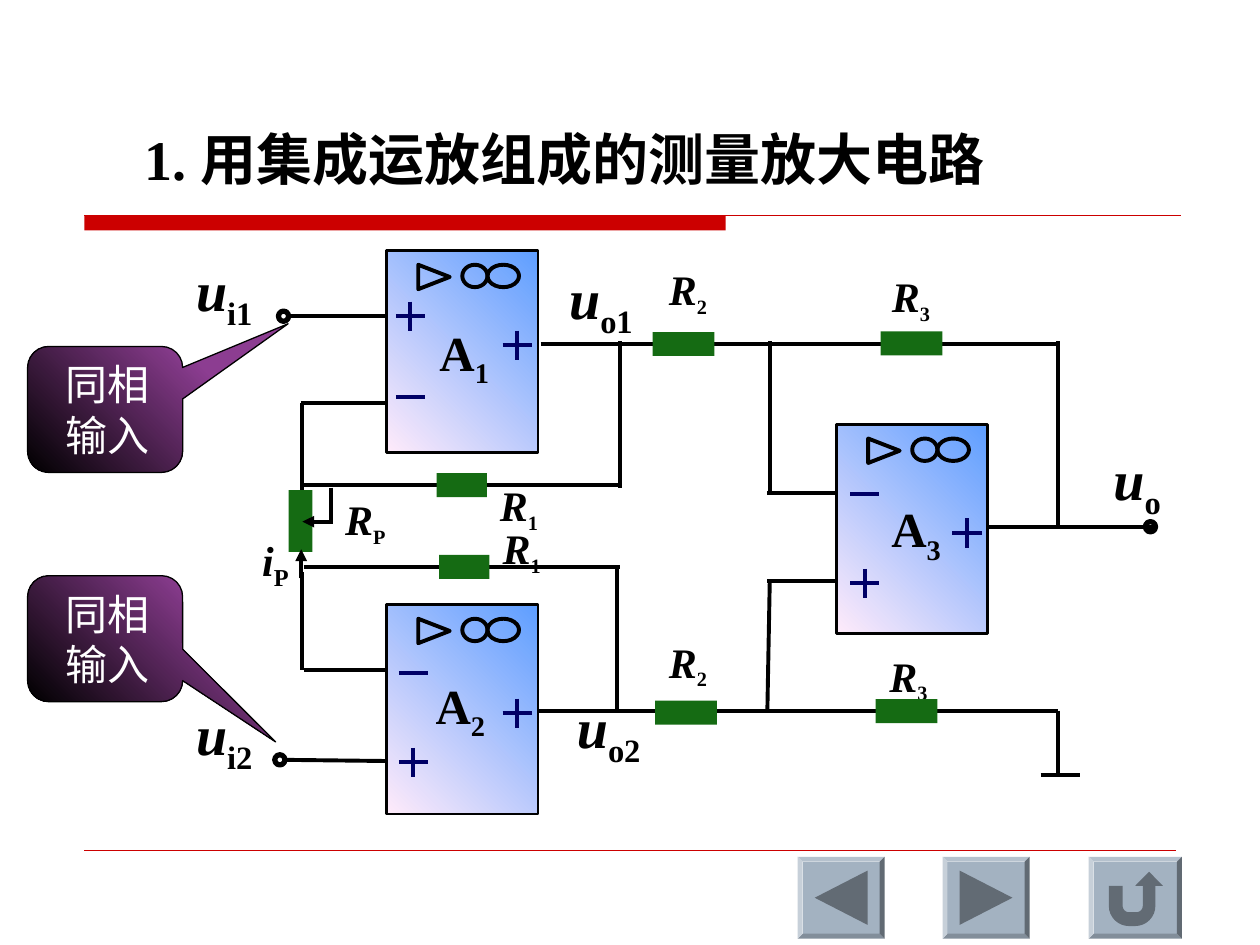
import math
from dataclasses import dataclass

import pptx
import pptx.dml.color
import pptx.enum.shapes
import pptx.enum.text
import pptx.oxml
import pptx.oxml.ns
import pptx.util

Pt = pptx.util.Pt
SHAPE = pptx.enum.shapes.MSO_SHAPE
ALIGN = pptx.enum.text.PP_ALIGN
FONT = "Times New Roman"
BLACK, RED, NAVY, GREEN = "000000", "CC0000", "000066", "156B13"
WHITE, STEEL, DARK_STEEL = "FFFFFF", "A3B2C1", "626B74"
Point = tuple[float, float]


@dataclass
class OpAmp:
    left: float
    top: float
    height: float
    input_x: float
    inverting_y: float
    noninverting_y: float
    output_y: float


@dataclass
class Resistor:
    x: float
    y: float
    width: float = 35.3
    height: float = 13.7


@dataclass
class Label:
    symbol: str
    subscript: str
    left: float
    top: float
    width: float
    size: float
    subscript_size: float
    italic: bool = True


@dataclass
class Callout:
    top: float
    tip_x: float
    tip_y: float


def rgb(value: str):
    return pptx.dml.color.RGBColor.from_string(value)


def style(shape, fill=None, line=None, weight=0.75):
    """Fill is one hex colour, a pair for a diagonal gradient, or None."""
    shape.shadow.inherit = False
    if fill is None:
        shape.fill.background()
    elif isinstance(fill, str):
        shape.fill.solid()
        shape.fill.fore_color.rgb = rgb(fill)
    else:
        shape.fill.gradient()
        shape.fill.gradient_angle = 225
        for stop, colour in zip(shape.fill.gradient_stops, fill):
            stop.color.rgb = rgb(colour)
    if line is None:
        shape.line.fill.background()
    else:
        shape.line.color.rgb = rgb(line)
        shape.line.width = Pt(weight)
    return shape


def add_box(slide, kind, left, top, width, height, **look):
    box = slide.shapes.add_shape(kind, Pt(left), Pt(top), Pt(width), Pt(height))
    return style(box, **look)


def add_outline(slide, points: list[Point], **look):
    corners = [(Pt(x), Pt(y)) for x, y in points]
    builder = slide.shapes.build_freeform(*corners[0], scale=1.0)
    builder.add_line_segments(corners[1:], close=True)
    return style(builder.convert_to_shape(), **look)


def add_line(slide, start: Point, end: Point, colour=BLACK, weight=2.25, arrow=False):
    line = slide.shapes.add_connector(
        pptx.enum.shapes.MSO_CONNECTOR.STRAIGHT, *(Pt(v) for v in start + end))
    line.line.color.rgb = rgb(colour)
    line.line.width = Pt(weight)
    if arrow:
        tail = pptx.oxml.parse_xml(
            f'<a:tailEnd {pptx.oxml.ns.nsdecls("a")} type="triangle"/>')
        line.line._get_or_add_ln().append(tail)
    line._element.spPr.append(
        pptx.oxml.parse_xml(f'<a:effectLst {pptx.oxml.ns.nsdecls("a")}/>'))


def set_font(paragraph, size: float, colour: str, bold: bool):
    font = paragraph.font
    font.name, font.size, font.bold = FONT, Pt(size), bold
    font.color.rgb = rgb(colour)


def add_text(slide, left, top, width, height, size):
    frame = slide.shapes.add_textbox(Pt(left), Pt(top), Pt(width), Pt(height)).text_frame
    frame.word_wrap = False
    frame.auto_size = pptx.enum.text.MSO_AUTO_SIZE.SHAPE_TO_FIT_TEXT
    paragraph = frame.paragraphs[0]
    paragraph.alignment = ALIGN.CENTER
    set_font(paragraph, size, BLACK, True)
    return paragraph


def draw_sign(slide, x: float, y: float, plus: bool):
    arm = 8.3
    add_line(slide, (x - arm, y), (x + arm, y), NAVY)
    if plus:
        add_line(slide, (x, y - arm), (x, y + arm), NAVY)


def draw_op_amp(slide, amp: OpAmp):
    add_box(slide, SHAPE.RECTANGLE, amp.left, amp.top, 86.4, amp.height,
            fill=("5E9EFF", "FFEBFA"), line=BLACK, weight=1.5)
    x, y = amp.left + 18, amp.top + 8
    add_outline(slide, [(x, y), (x + 18, y + 7), (x, y + 14)], line=BLACK, weight=2.25)
    for offset, width in ((25.2, 14.4), (39.6, 18)):  # infinity sign
        add_box(slide, SHAPE.OVAL, x + offset, y, width, 12.8, line=BLACK, weight=2.25)
    draw_sign(slide, amp.left + amp.input_x, amp.inverting_y, False)
    draw_sign(slide, amp.left + amp.input_x, amp.noninverting_y, True)
    draw_sign(slide, amp.left + 74.5, amp.output_y, True)


def draw_resistor(slide, part: Resistor):
    add_box(slide, SHAPE.RECTANGLE, part.x - part.width / 2, part.y - part.height / 2,
            part.width, part.height, fill=GREEN)


def draw_label(slide, label: Label):
    paragraph = add_text(slide, label.left, label.top, label.width,
                         label.size * 1.6, label.size)
    symbol, subscript = paragraph.add_run(), paragraph.add_run()
    symbol.text, subscript.text = label.symbol, label.subscript
    symbol.font.italic, subscript.font.italic = label.italic, False
    subscript.font.size = Pt(label.subscript_size)
    subscript._r.get_or_add_rPr().set("baseline", "-25000")


def draw_callout(slide, callout: Callout):
    bubble = add_box(slide, SHAPE.ROUNDED_RECTANGULAR_CALLOUT, 15.8, callout.top, 88.6, 72,
                     fill=("8C3D91", BLACK), line=BLACK)
    for i, value in enumerate((callout.tip_x, callout.tip_y, 0.167)):
        bubble.adjustments[i] = value
    frame = bubble.text_frame
    frame.margin_left = Pt(18)
    frame.vertical_anchor = pptx.enum.text.MSO_ANCHOR.TOP
    frame.text = "同相\n输入"
    for paragraph in frame.paragraphs:
        paragraph.alignment = ALIGN.LEFT
        set_font(paragraph, 24, WHITE, False)


def arc(x: float, y: float, radius: float, start: int, end: int) -> list[Point]:
    angles = [math.radians(start + (end - start) * i / 8) for i in range(9)]
    return [(x + radius * math.cos(a), y + radius * math.sin(a)) for a in angles]


def draw_button(slide, left: float, width: float, glyph: list[Point]):
    face = add_box(slide, SHAPE.BEVEL, left, 489.6, width, 46.8, fill=STEEL)
    face.adjustments[0] = 0.06
    centre = left + width / 2
    add_outline(slide, [(centre + x, 513 + y) for x, y in glyph], fill=DARK_STEEL)


WIRES = [
    # first stage
    ((165, 180.7), (221, 180.7)), ((172, 230.4), (221, 230.4)),
    ((172.8, 230.4), (172.8, 287)), ((172, 277.2), (353, 277.2)),
    ((354.2, 195), (354.2, 278.6)), ((309, 196.6), (377.3, 196.6)),
    # second stage
    ((161.3, 434.2), (223, 434.9)), ((173.5, 383), (222.5, 383)),
    ((172.8, 326.9), (172.8, 383)), ((173.5, 324), (354.2, 324)),
    ((352.8, 325.4), (352.8, 406.8)), ((293, 406.1), (438.5, 406.1)),
    # output stage
    ((405.4, 196.6), (507.6, 196.6)), ((535.7, 196.6), (604.1, 196.6)),
    ((439.9, 195), (439.9, 281.5)), ((438.5, 281.5), (478, 281.5)),
    ((438.5, 331.9), (479.5, 331.9)), ((439.9, 331.2), (438.5, 406.1)),
    ((438.5, 406.1), (604.8, 406.1)), ((564.5, 301), (660.2, 301)),
    ((604.8, 195), (604.8, 301)),
    # ground
    ((604.8, 406.1), (604.8, 442.8)), ((594.7, 442.8), (617, 442.8)),
    # potentiometer tap
    ((189.4, 278.6), (189.4, 299.5)),
]
ARROWS = [((188.6, 298.1), (172.8, 298.1)), ((172.1, 330.5), (172.1, 313.9))]
OP_AMPS = [
    OpAmp(221, 143.3, 115.2, 13.5, 226.8, 180.7, 197.3),
    OpAmp(221, 345.6, 119.5, 15.2, 384.5, 435.6, 407.5),
    OpAmp(478.1, 242.6, 119.5, 16, 282.2, 333.4, 304.6),
]
TERMINALS = [(159.1, 177.8), (157, 431.3), (654.5, 298.1)]
RESISTORS = [
    Resistor(171.7, 297.7, 13.7, 35.3),
    Resistor(263.9, 277.2, 28.8), Resistor(265.3, 324, 28.8),
    Resistor(390.6, 196.6), Resistor(520.9, 196.2),
    Resistor(392, 407.2), Resistor(518, 406.4),
]
LABELS = [
    Label("u", "i1", 98.1, 142.6, 60, 32, 32), Label("u", "i2", 98.1, 396, 60, 32, 32),
    Label("u", "o1", 311.4, 146.9, 64, 32, 32), Label("u", "o2", 315.8, 392.4, 64, 32, 32),
    Label("u", "o", 622.8, 250.6, 54, 32, 32), Label("i", "P", 139.4, 301.7, 36, 24, 24),
    Label("R", "1", 275.6, 270.7, 42, 24, 20), Label("R", "1", 277.1, 295.2, 42, 24, 20),
    Label("R", "P", 187.8, 278.6, 42, 24, 20),
    Label("R", "2", 372.1, 146.9, 42, 24, 20), Label("R", "2", 372.1, 360, 42, 24, 20),
    Label("R", "3", 499.6, 151.2, 42, 24, 20), Label("R", "3", 498.1, 367.9, 42, 24, 20),
    Label("A", "1", 240.3, 180.7, 50, 28, 28, False),
    Label("A", "2", 238.1, 382.3, 50, 28, 28, False),
    Label("A", "3", 498.5, 281.5, 50, 28, 28, False),
]
CALLOUTS = [Callout(198, 1.18, -0.68), Callout(329, 1.1, 0.82)]
BACK = [(-15.1, 0), (15.1, -15.5), (15.1, 15.5)]
FORWARD = [(-x, y) for x, y in BACK]
RETURN = [(-15.1, -6.8), (-7.2, -6.8), *arc(-3.6, 4.7, 3.6, 180, 90),
          *arc(0.7, 4.7, 3.6, 90, 0), (4.3, -6.8), (0, -6.8), (7.9, -14.8),
          (15.8, -6.8), (11.5, -6.8), *arc(0, 4.7, 11.5, 0, 90),
          *arc(-3.6, 4.7, 11.5, 90, 180)]


def main():
    deck = pptx.Presentation()
    deck.slide_width, deck.slide_height = Pt(720), Pt(540)
    slide = deck.slides.add_slide(deck.slide_layouts[6])

    # Title and rules
    add_box(slide, SHAPE.RECTANGLE, 48.2, 123.1, 366.5, 8.6, fill=RED)
    add_line(slide, (48.2, 123.1), (674.6, 123.1), RED, 1)
    add_line(slide, (48.2, 486), (671.8, 486), RED, 0.25)
    add_text(slide, 71.3, 67.7, 502.6, 46.1, 32).add_run().text = "1. 用集成运放组成的测量放大电路"

    # Circuit
    for start, end in WIRES:
        add_line(slide, start, end)
    for amp in OP_AMPS:
        draw_op_amp(slide, amp)
    for left, top in TERMINALS:
        add_box(slide, SHAPE.OVAL, left, top, 5.8, 5.8, line=BLACK, weight=3)
    for label in LABELS:
        draw_label(slide, label)
    for resistor in RESISTORS:
        draw_resistor(slide, resistor)
    for start, end in ARROWS:
        add_line(slide, start, end, arrow=True)

    # Input callouts
    for callout in CALLOUTS:
        draw_callout(slide, callout)

    # Navigation buttons
    for left, width, glyph in ((455.8, 49.7, BACK), (538.6, 49.7, FORWARD),
                               (622.1, 53.3, RETURN)):
        draw_button(slide, left, width, glyph)

    deck.save("out.pptx")


if __name__ == "__main__":
    main()
